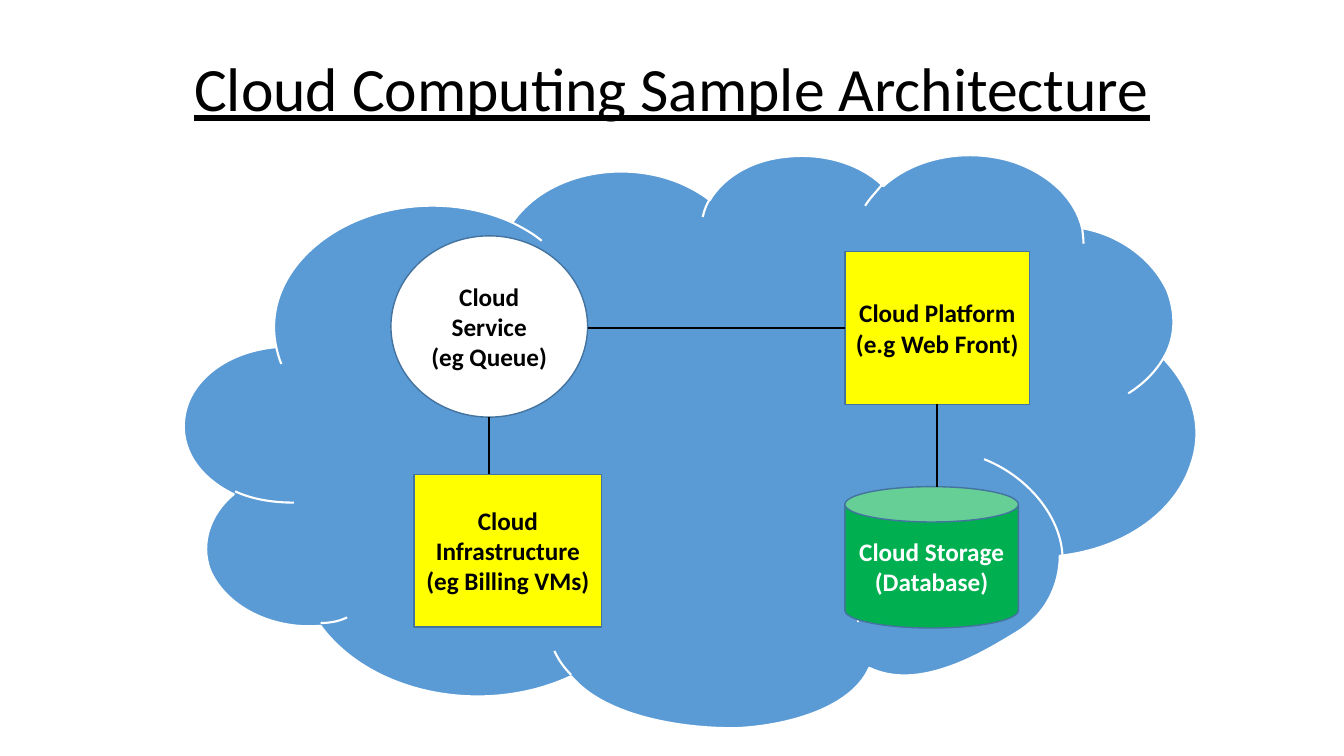
import pptx
import pptx.dml.color
import pptx.enum.shapes
import pptx.enum.text
import pptx.util
from lxml import etree
from pptx.oxml.ns import qn

Pt = pptx.util.Pt
SHAPE = pptx.enum.shapes.MSO_SHAPE
FONT = "Calibri"
BLACK, WHITE, YELLOW, GREEN = "000000", "FFFFFF", "FFFF00", "00B050"
CLOUD_BLUE, BORDER_BLUE = "5B9BD5", "43739E"

# Cubic curves in points: a start, then two controls and an end for each curve.
CLOUD_BOX = (131, 111, 723, 409)
CLOUD_OUTLINE = [
    (197, 246),
    (192, 220), (203, 194), (226, 175),
    (262, 145), (320, 138), (366, 159),
    (394, 118), (464, 110), (507, 143),
    (518, 125), (539, 114), (562, 112),
    (588, 109), (615, 117), (631, 133),
    (654, 112), (692, 105), (725, 116),
    (750, 125), (768, 142), (773, 163),
    (801, 168), (824, 186), (834, 208),
    (840, 224), (840, 241), (831, 256),
    (852, 278), (860, 305), (851, 331),
    (840, 366), (803, 392), (757, 397),
    (757, 418), (747, 440), (724, 453),
    (701, 467), (656, 494), (621, 477),
    (608, 506), (563, 518), (528, 520),
    (492, 521), (433, 513), (408, 483),
    (346, 512), (265, 496), (229, 447),
    (194, 450), (161, 433), (150, 407),
    (143, 388), (150, 367), (167, 353),
    (142, 341), (128, 320), (132, 297),
    (136, 271), (163, 251), (197, 248),
    (197, 247), (197, 247), (197, 246),
]
CLOUD_CREASES = [
    [(210, 359), (196, 359), (181, 357), (168, 351)],
    [(248, 441), (242, 444), (235, 445), (229, 445)],
    [(408, 482), (402, 476), (399, 471), (396, 465)],
    [(613.4, 440), (613.4, 446.4), (615, 437.8), (612.7, 444.2)],
    [(703, 328), (736, 341), (760, 372), (759, 401)],
    [(831, 256), (825, 266), (817, 274), (806, 281)],
    [(773, 161), (773, 165), (774, 169), (774, 174)],
    [(618, 147), (621, 142), (626, 137), (630, 132)],
    [(502, 155), (503, 150), (505, 145), (508, 141)],
    [(366, 159), (374, 163), (381, 167), (387, 172)],
    [(201, 260), (199, 255), (198, 251), (197, 246)],
]


def rgb(color):
    return pptx.dml.color.RGBColor.from_string(color)


def set_line(sp, color, width):
    sp.line.color.rgb = rgb(color)
    sp.line.width = Pt(width)


def set_fill(sp, color):
    sp.fill.solid()
    sp.fill.fore_color.rgb = rgb(color)


def write_text(sp, lines, size, color):
    """Fill a shape with centred paragraphs and return them."""
    tf = sp.text_frame
    tf.word_wrap = True
    tf.vertical_anchor = pptx.enum.text.MSO_ANCHOR.MIDDLE
    tf.text = "\n".join(lines)
    for p in tf.paragraphs:
        p.alignment = pptx.enum.text.PP_ALIGN.CENTER
        p.font.name = FONT
        p.font.size = Pt(size)
        p.font.color.rgb = rgb(color)
    return tf.paragraphs


def add_title(slide, text):
    sp = slide.shapes.add_textbox(Pt(66), Pt(28.5), Pt(828), Pt(74))
    p = write_text(sp, [text], 44, BLACK)[0]
    p.line_spacing = 0.9
    p.font.underline = True


def add_step(path_el, tag, points):
    """Append one path command, with points taken relative to the cloud's box."""
    left, top = CLOUD_BOX[:2]
    step = etree.SubElement(path_el, qn(tag))
    for x, y in points:
        etree.SubElement(step, qn("a:pt"), x=str(Pt(x - left)), y=str(Pt(y - top)))


def add_curves(path_el, points):
    add_step(path_el, "a:moveTo", points[:1])
    for i in range(1, len(points), 3):
        add_step(path_el, "a:cubicBezTo", points[i:i + 3])


def add_cloud(slide):
    """Draw the cloud as one freeform: a filled outline and unfilled creases."""
    left, top, width, height = (Pt(v) for v in CLOUD_BOX)
    right, bottom = left + width, top + height
    builder = slide.shapes.build_freeform(left, top)
    builder.add_line_segments([(right, top), (right, bottom), (left, bottom)])
    sp = builder.convert_to_shape()
    sp.shadow.inherit = False
    set_fill(sp, CLOUD_BLUE)
    set_line(sp, WHITE, 1.5)

    paths = sp._element.spPr.find(".//" + qn("a:pathLst"))
    for old in list(paths):
        paths.remove(old)
    size = {"w": str(width), "h": str(height)}
    outline = etree.SubElement(paths, qn("a:path"), size)
    add_curves(outline, CLOUD_OUTLINE)
    etree.SubElement(outline, qn("a:close"))
    creases = etree.SubElement(paths, qn("a:path"), size, fill="none")
    for crease in CLOUD_CREASES:
        add_curves(creases, crease)


def add_node(slide, kind, box, fill, lines, color=BLACK):
    sp = slide.shapes.add_shape(kind, *(Pt(v) for v in box))
    sp.shadow.inherit = False
    set_fill(sp, fill)
    set_line(sp, BORDER_BLUE, 1)
    for p in write_text(sp, lines, 18, color):
        p.font.bold = True


def add_link(slide, *ends):
    line = slide.shapes.add_connector(
        pptx.enum.shapes.MSO_CONNECTOR.STRAIGHT, *(Pt(v) for v in ends))
    set_line(line, BLACK, 1.5)
    etree.SubElement(line._element.spPr, qn("a:effectLst"))


def main():
    prs = pptx.Presentation()
    prs.slide_width, prs.slide_height = Pt(960), Pt(540)
    slide = prs.slides.add_slide(prs.slide_layouts[6])

    add_title(slide, "Cloud Computing Sample Architecture")
    add_cloud(slide)
    add_node(slide, SHAPE.RECTANGLE, (295.8, 338.8, 134, 109), YELLOW,
             ["Cloud Infrastructure", "(eg Billing VMs)"])
    add_node(slide, SHAPE.RECTANGLE, (603.5, 179.8, 132, 109), YELLOW,
             ["Cloud Platform", "(e.g Web Front)"])
    add_node(slide, SHAPE.OVAL, (279.2, 168.5, 140.5, 129.5), WHITE,
             ["Cloud Service", "(eg Queue)"])
    add_node(slide, SHAPE.CAN, (603.5, 347.6, 124, 101), GREEN,
             ["Cloud Storage", "(Database)"], WHITE)

    add_link(slide, 419.7, 234, 603.5, 234)
    add_link(slide, 349.2, 298, 349.2, 338.8)
    add_link(slide, 669.5, 288.8, 669.5, 347.6)
    prs.save("out.pptx")


if __name__ == "__main__":
    main()
